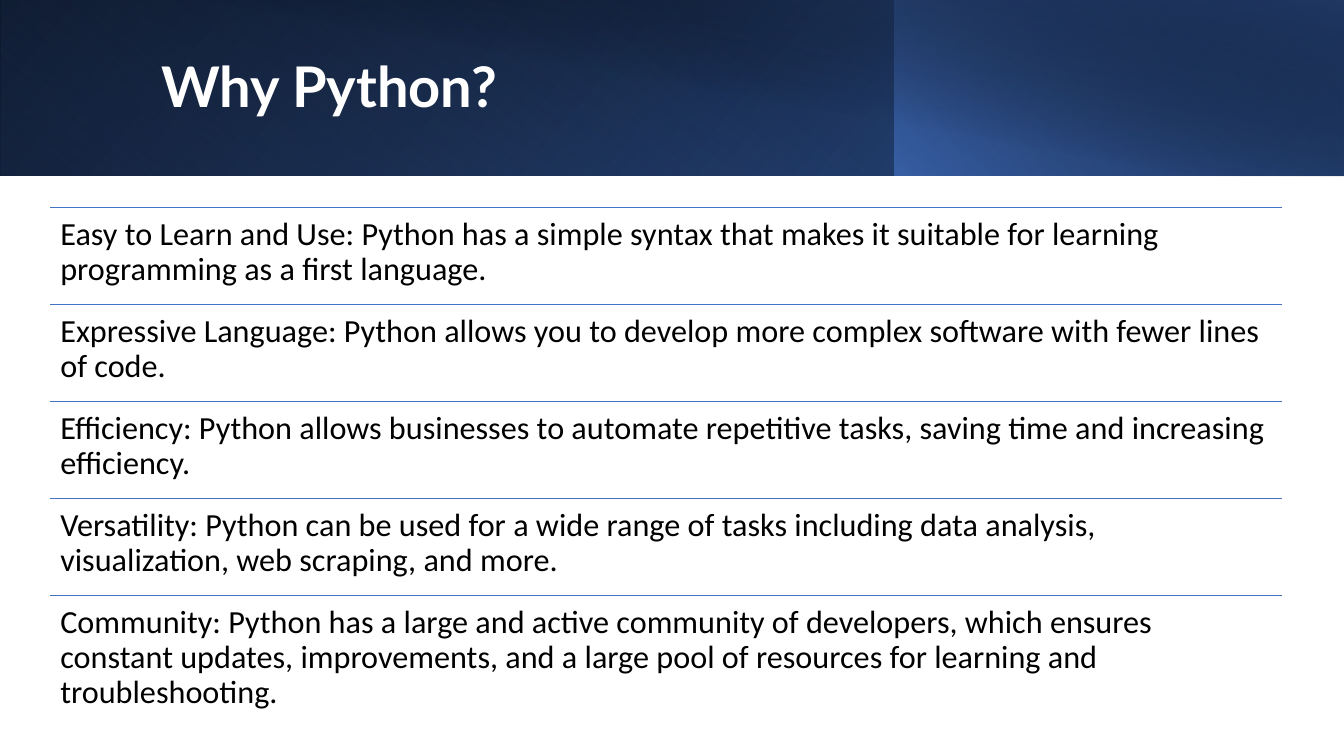
from pptx import Presentation
from pptx.dml.color import RGBColor
from pptx.enum.shapes import MSO_CONNECTOR, MSO_SHAPE
from pptx.enum.text import MSO_ANCHOR, MSO_AUTO_SIZE, PP_ALIGN
from pptx.oxml import parse_xml
from pptx.oxml.ns import nsdecls
from pptx.util import Inches, Pt
from lxml.etree import SubElement

COLORS = {"black": "000000", "white": "FFFFFF", "blue": "4472C4",
          "mid_blue": "2F5597", "navy": "203864"}


def add_band(slide, left, width, height, angle, stops, flip=True, rotation=0):
    """Add a gradient rectangle; stops are (position, color, opacity) in percent."""
    shape = slide.shapes.add_shape(
        MSO_SHAPE.RECTANGLE, Inches(left), 0, Inches(width), Inches(height))
    shape.shadow.inherit = False
    shape.rotation = rotation
    if flip:
        shape._element.spPr.xfrm.set("flipH", "1")
    shape.line.fill.background()
    shape.fill.background()
    stop_xml = "".join(
        f'<a:gs pos="{position * 1000}"><a:srgbClr val="{COLORS[color]}">'
        f'<a:alpha val="{opacity * 1000}"/></a:srgbClr></a:gs>'
        for position, color, opacity in stops)
    gradient = parse_xml(
        f'<a:gradFill {nsdecls("a")} rotWithShape="1"><a:gsLst>{stop_xml}</a:gsLst>'
        f'<a:lin ang="{angle * 60000}" scaled="0"/></a:gradFill>')
    properties = shape._element.spPr
    properties.replace(properties.find("{*}noFill"), gradient)


def add_text(paragraph, text, font_name, size, color, bold=False):
    paragraph.alignment = PP_ALIGN.LEFT
    paragraph.line_spacing = 0.9
    run = paragraph.add_run()
    run.text = text
    run.font.name = font_name
    run.font.size = Pt(size)
    run.font.bold = bold
    run.font.color.rgb = RGBColor.from_string(COLORS[color])


presentation = Presentation()
presentation.slide_width = Inches(13.33)
presentation.slide_height = Inches(7.5)
slide = presentation.slides.add_slide(presentation.slide_layouts[5])

# Header bands
add_band(slide, 0, 13.33, 1.74, 140, [(0, "black", 100), (100, "mid_blue", 100)])
add_band(slide, 0, 8.88, 1.74, 230, [(20, "blue", 0), (100, "navy", 55)], rotation=180)
add_band(slide, 8.87, 4.46, 1.74, 220, [(0, "blue", 66), (100, "black", 30)])
add_band(slide, 0.5, 12.83, 1.75, 280, [(50, "black", 0), (99, "navy", 52)], flip=False)

# Title, brought in front of the bands
title = slide.shapes.title
title.left, title.top = Inches(1.5), Inches(0.32)
title.width, title.height = Inches(10.82), Inches(1.13)
title.text_frame.auto_size = MSO_AUTO_SIZE.NONE
title.text_frame.vertical_anchor = MSO_ANCHOR.MIDDLE
add_text(title.text_frame.paragraphs[0], "Why Python?", "Lato", 40, "white", bold=True)
slide.shapes._spTree.append(title._element)

# Reasons, each under a rule
reasons = [
    "Easy to Learn and Use: Python has a simple syntax that makes it suitable "
    "for learning programming as a first language.",
    "Expressive Language: Python allows you to develop more complex software "
    "with fewer lines of code.",
    "Efficiency: Python allows businesses to automate repetitive tasks, saving "
    "time and increasing efficiency.",
    "Versatility: Python can be used for a wide range of tasks including data "
    "analysis, visualization, web scraping, and more.",
    "Community: Python has a large and active community of developers, which "
    "ensures constant updates, improvements, and a large pool of resources for "
    "learning and troubleshooting.",
]
left, width = Inches(0.5), Inches(12.22)
first_top, last_top = Inches(2.06), Inches(5.91)
row_height = (last_top - first_top) // (len(reasons) - 1)

for index, reason in enumerate(reasons):
    top = first_top + index * row_height
    rule = slide.shapes.add_connector(
        MSO_CONNECTOR.STRAIGHT, left, top, left + width, top)
    rule.line.color.rgb = RGBColor.from_string(COLORS["blue"])
    rule.line.width = Pt(1)
    SubElement(rule._element.spPr,
               "{http://schemas.openxmlformats.org/drawingml/2006/main}effectLst")

    text_box = slide.shapes.add_textbox(left, top, width, row_height)
    text_frame = text_box.text_frame
    text_frame.word_wrap = True
    text_frame.margin_left = text_frame.margin_right = Inches(0.1)
    text_frame.margin_top = text_frame.margin_bottom = Inches(0.1)
    add_text(text_frame.paragraphs[0], reason, "Calibri", 23, "black")

presentation.save("out.pptx")
